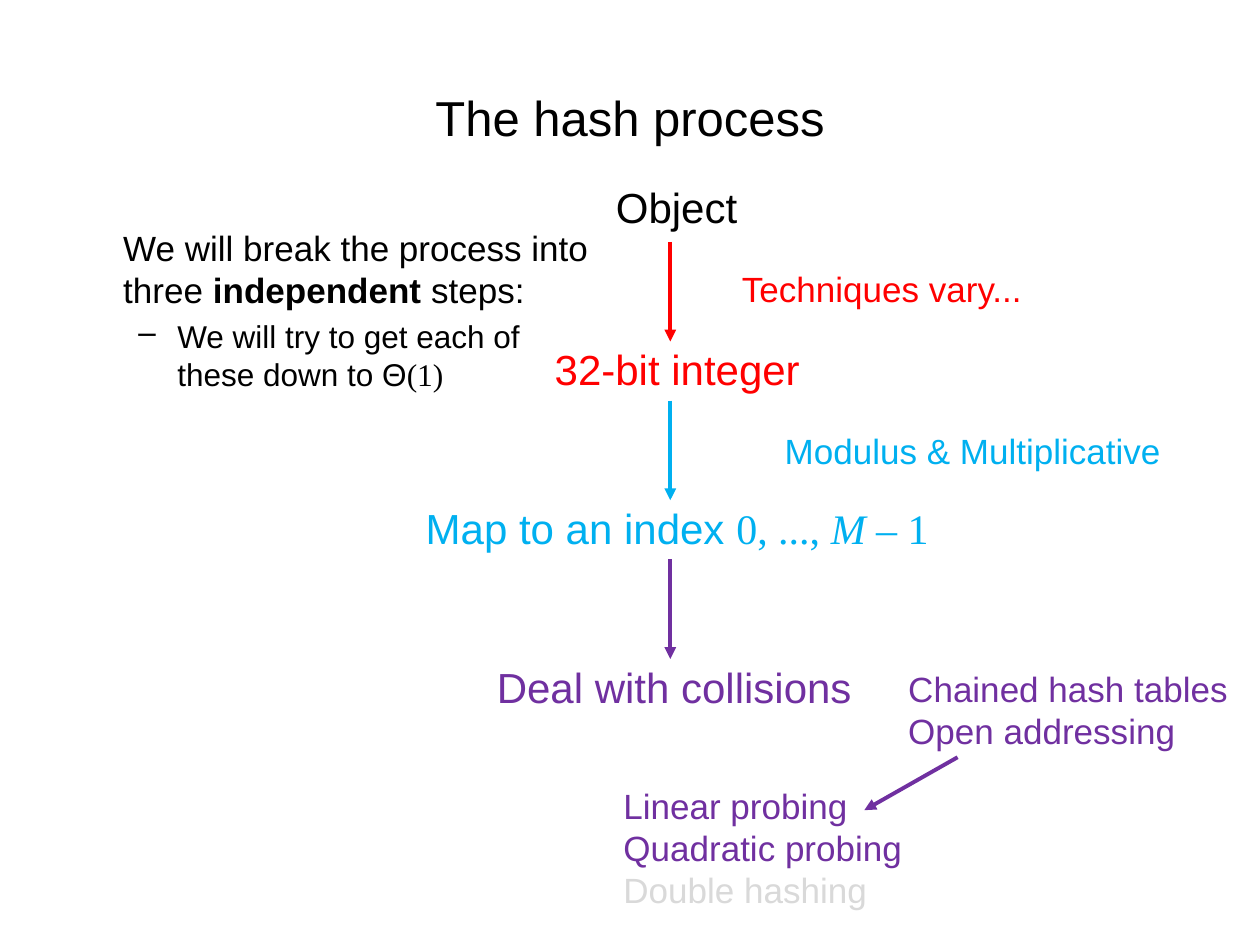
"""Build a slide on the three steps of the hash process."""
import pptx
import pptx.dml.color
import pptx.enum.shapes
import pptx.enum.text
import pptx.oxml
import pptx.oxml.ns
import pptx.util
from pptx.util import Inches

Color = pptx.dml.color.RGBColor
BLACK = Color(0, 0, 0)
RED = Color(0xFF, 0, 0)
BLUE = Color(0, 0xB0, 0xF0)
PURPLE = Color(0x70, 0x30, 0xA0)
GREY = Color(0xD9, 0xD9, 0xD9)
SANS, SERIF = "Arial", "Times New Roman"
LEFT = pptx.enum.text.PP_ALIGN.LEFT
MID = pptx.enum.text.PP_ALIGN.CENTER

TITLE = "The hash process"
INTRO = [("We will break the process into\nthree ", ""), ("independent", "b"), (" steps:", "")]
GOAL = [("We will try to get each of\nthese down to Θ", ""), ("(1)", "s")]
INDEX = [("Map to an index ", ""), ("0, ..., ", "s"), ("M", "si"), (" – 1", "s")]

STEPS = [
    ([("Object", "")], BLACK, 4.79, 1.16),
    ([("32-bit integer", "")], RED, 4.3, 2.15),
    (INDEX, BLUE, 3.19, 4.37),
    ([("Deal with collisions", "")], PURPLE, 3.84, 3.02),
]
TOPS = [1.39, 2.68, 3.94, 5.2]
NOTES = [
    ((5.79, 2.07, 2.6, 0.43), [("Techniques vary...", RED)]),
    ((6.13, 3.36, 3.5, 0.44), [("Modulus & Multiplicative", BLUE)]),
    ((7.11, 5.25, 2.85, 0.77),
     [("Chained hash tables", PURPLE), ("Open addressing", PURPLE)]),
    ((4.85, 6.18, 2.6, 1.11),
     [("Linear probing", PURPLE), ("Quadratic probing", PURPLE), ("Double hashing", GREY)]),
]
AXIS, START, PITCH, REACH = 5.32, 1.92, 1.26, 0.79


def add_box(slide, place, wrap=True):
    frame = slide.shapes.add_textbox(*map(Inches, place)).text_frame
    frame.word_wrap = wrap
    if not wrap:
        frame.auto_size = pptx.enum.text.MSO_AUTO_SIZE.SHAPE_TO_FIT_TEXT
    return frame


def fill_line(para, parts, size, color, align=LEFT):
    para.alignment = align
    para.font.size = pptx.util.Pt(size)
    para.font.color.rgb = color
    para.font.name = SANS
    for text, style in parts:
        for row, piece in enumerate(text.split("\n")):
            if row:
                para.add_line_break()
            run = para.add_run()
            run.text = piece
            font = run.font
            font.size = pptx.util.Pt(size)
            font.color.rgb = color
            font.name = SERIF if "s" in style else SANS
            font.bold = "b" in style
            font.italic = "i" in style


def set_indent(para, left, first=0, mark=None):
    props = para._p.get_or_add_pPr()
    props.set("marL", str(Inches(left)))
    props.set("indent", str(Inches(first)))
    if mark:
        bullet = pptx.oxml.ns.qn("a:buChar")
        props.append(props.makeelement(bullet, {"char": mark}))


def add_arrow(slide, start, end, color):
    kind = pptx.enum.shapes.MSO_CONNECTOR.STRAIGHT
    arrow = slide.shapes.add_connector(kind, *map(Inches, start + end))
    arrow.line.color.rgb = color
    arrow.line.width = pptx.util.Pt(2.25)
    name = pptx.oxml.ns.qn
    line = arrow.line._get_or_add_ln()
    line.append(line.makeelement(name("a:tailEnd"), {"type": "triangle"}))
    props = arrow._element.spPr
    props.append(props.makeelement(name("a:effectLst"), {}))


def main():
    deck = pptx.Presentation()
    deck.slide_width, deck.slide_height = Inches(10), Inches(7.5)
    slide = deck.slides.add_slide(deck.slide_layouts[6])

    head = add_box(slide, (0.5, 0.3, 9, 1.25))
    head.vertical_anchor = pptx.enum.text.MSO_ANCHOR.MIDDLE
    fill_line(head.paragraphs[0], [(TITLE, "")], 28, BLACK, MID)

    body = add_box(slide, (0.5, 1.75, 9, 4.95))
    intro, goal = body.paragraphs[0], body.add_paragraph()
    set_indent(intro, 0.38)
    fill_line(intro, INTRO, 20, BLACK)
    goal.level = 1
    goal.space_before = pptx.util.Pt(3.6)
    set_indent(goal, 0.81, -0.31, "–")
    fill_line(goal, GOAL, 18, BLACK)

    for (parts, color, left, width), top in zip(STEPS, TOPS):
        frame = add_box(slide, (left, top, width, 0.5), False)
        fill_line(frame.paragraphs[0], parts, 24, color, MID)

    for row, (_, color, _, _) in enumerate(STEPS[1:]):
        top = START + row * PITCH
        add_arrow(slide, (AXIS, top), (AXIS, top + REACH), color)
    add_arrow(slide, (7.6, 6.01), (6.86, 6.43), PURPLE)

    for place, lines in NOTES:
        frame = add_box(slide, place)
        for row, (text, color) in enumerate(lines):
            para = frame.add_paragraph() if row else frame.paragraphs[0]
            fill_line(para, [(text, "")], 20, color)

    deck.save("out.pptx")


if __name__ == "__main__":
    main()
